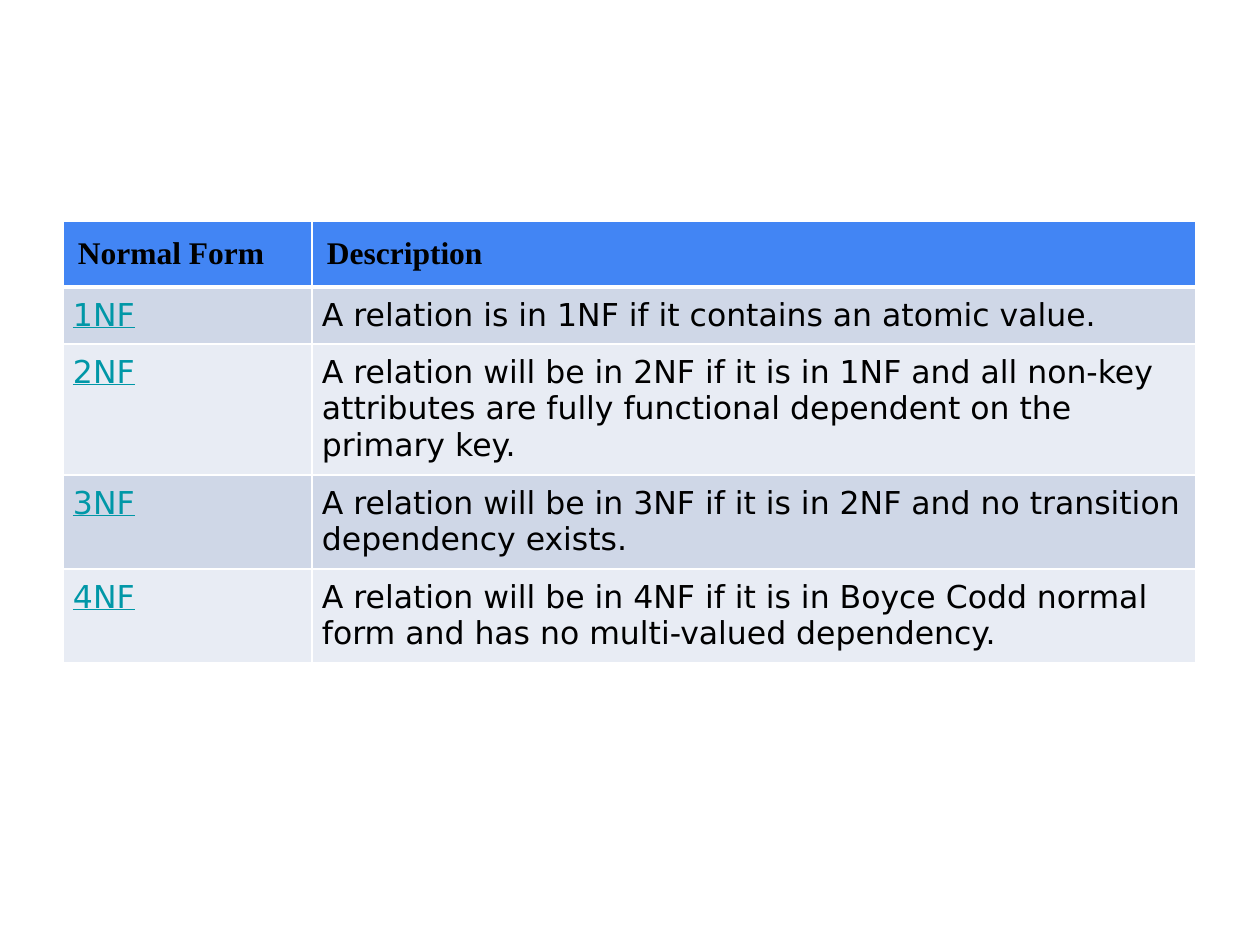
from lxml.etree import SubElement
from pptx import Presentation
from pptx.dml.color import RGBColor
from pptx.oxml.ns import qn
from pptx.util import Emu, Pt

HEADINGS = ("Normal Form", "Description")
NORMAL_FORMS = [
    ("1NF", "A relation is in 1NF if it contains an atomic value."),
    ("2NF", "A relation will be in 2NF if it is in 1NF and all non-key attributes "
            "are fully functional dependent on the primary key."),
    ("3NF", "A relation will be in 3NF if it is in 2NF and no transition "
            "dependency exists."),
    ("4NF", "A relation will be in 4NF if it is in Boyce Codd normal form and "
            "has no multi-valued dependency."),
]
COLUMN_WIDTHS = (249, 884)
ROW_HEIGHTS = (66, 57, 131, 94, 94)
TABLE_LEFT, TABLE_TOP = 63, 221
HEADER_MARGIN, BODY_MARGIN = 15, 10

HEADER_FILL = "4285F4"
BAND_FILLS = ("CFD7E7", "E8ECF4")
BLACK, TEAL, WHITE = "000000", "0097A7", "FFFFFF"


def px(length):
    return Emu(length * 914400 // 126)


def color(value):
    return RGBColor.from_string(value)


def set_borders(cell, top, bottom):
    """Draw white borders; top and bottom widths are in points."""
    properties = cell._tc.get_or_add_tcPr()
    for side, width in (("L", 1), ("R", 1), ("T", top), ("B", bottom)):
        line = SubElement(properties, qn(f"a:ln{side}"), w=str(Pt(width)))
        fill = SubElement(line, qn("a:solidFill"))
        SubElement(fill, qn("a:srgbClr"), val=WHITE)


def fill_cell(cell, text, row, column):
    is_header = row == 0
    set_borders(cell, top=3 if row == 1 else 1, bottom=3 if is_header else 1)
    cell.fill.solid()
    cell.fill.fore_color.rgb = color(HEADER_FILL if is_header else BAND_FILLS[(row - 1) % 2])
    margin = px(HEADER_MARGIN if is_header else BODY_MARGIN)
    cell.margin_left = cell.margin_right = margin
    cell.margin_top = cell.margin_bottom = margin

    is_form_name = column == 0 and not is_header
    cell.text_frame.text = text
    font = cell.text_frame.paragraphs[0].runs[0].font
    font.name = "Times New Roman" if is_header else "DejaVu Sans"
    font.size = Pt(18)
    font.bold = is_header
    font.underline = is_form_name
    font.color.rgb = color(TEAL if is_form_name else BLACK)


def main():
    presentation = Presentation()
    presentation.slide_width, presentation.slide_height = px(1260), px(945)
    slide = presentation.slides.add_slide(presentation.slide_layouts[6])

    rows = [HEADINGS, *NORMAL_FORMS]
    table = slide.shapes.add_table(
        len(rows), len(HEADINGS), px(TABLE_LEFT), px(TABLE_TOP),
        px(sum(COLUMN_WIDTHS)), px(sum(ROW_HEIGHTS))).table
    for column, width in zip(table.columns, COLUMN_WIDTHS):
        column.width = px(width)
    for row, height in zip(table.rows, ROW_HEIGHTS):
        row.height = px(height)
    for row, texts in enumerate(rows):
        for column, text in enumerate(texts):
            fill_cell(table.cell(row, column), text, row, column)

    presentation.save("out.pptx")


if __name__ == "__main__":
    main()
